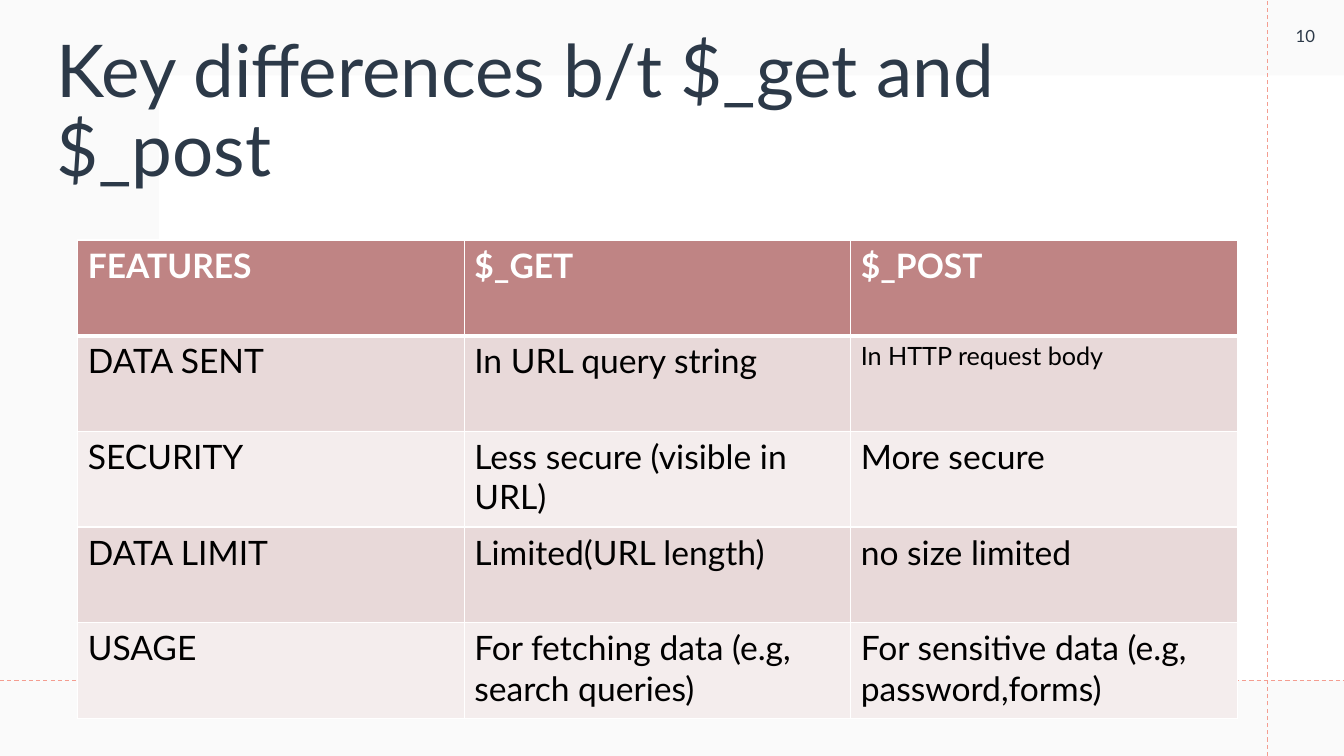
from lxml import etree
from pptx import Presentation, util as u
from pptx.dml.color import RGBColor
from pptx.enum import dml, shapes, text
from pptx.oxml import ns

COLORS = {
    "white": "FFFFFF",
    "veil": "F4F4F4",
    "guide": "F49D90",
    "ink": "2C3948",
    "black": "000000",
    "header": "BF8484",
    "odd": "E8D9D9",
    "even": "F4EDED",
}
WIDTH, HEIGHT = 33.87, 19.05
ROWS = [
    ("FEATURES", "$_GET", "$_POST"),
    ("DATA SENT", "In URL query string", "In HTTP request body"),
    ("SECURITY", "Less secure (visible in URL)", "More secure"),
    ("DATA LIMIT", "Limited(URL length)", "no size limited"),
    ("USAGE", "For fetching data (e.g, search queries)",
     "For sensitive data (e.g, password,forms)"),
]
SMALL_CELL = (1, 2)


class SlideBuilder:
    font = "Lato"

    def __init__(self, slide):
        self.slide = slide

    def color(self, name):
        return RGBColor.from_string(COLORS[name])

    def style(self, paragraph, size, color, bold=False):
        paragraph.font.name = self.font
        paragraph.font.size = u.Pt(size)
        paragraph.font.bold = bold
        paragraph.font.color.rgb = self.color(color)

    def panel(self, left, top, width, height, color, opacity=100):
        panel = self.slide.shapes.add_shape(
            shapes.MSO_SHAPE.RECTANGLE, *map(u.Cm, (left, top, width, height)))
        panel.shadow.inherit = False
        panel.line.fill.background()
        panel.fill.solid()
        panel.fill.fore_color.rgb = self.color(color)
        if opacity < 100:
            tint = panel.fill._xPr.find(".//" + ns.qn("a:srgbClr"))
            etree.SubElement(tint, ns.qn("a:alpha"), val=str(opacity * 1000))

    def guide(self, x1, y1, x2, y2):
        guide = self.slide.shapes.add_connector(
            shapes.MSO_CONNECTOR.STRAIGHT, *map(u.Cm, (x1, y1, x2, y2)))
        guide.line.color.rgb = self.color("guide")
        guide.line.width = u.Pt(0.75)
        guide.line.dash_style = dml.MSO_LINE.DASH
        etree.SubElement(guide._element.spPr, ns.qn("a:effectLst"))

    def label(self, words, left, top, width, height, size,
              align=text.PP_ALIGN.LEFT, spacing=1.0):
        frame = self.slide.shapes.add_textbox(
            *map(u.Cm, (left, top, width, height))).text_frame
        frame.word_wrap = True
        frame.vertical_anchor = text.MSO_ANCHOR.MIDDLE
        paragraph = frame.paragraphs[0]
        paragraph.text = words
        paragraph.alignment = align
        paragraph.line_spacing = spacing
        self.style(paragraph, size, "ink")

    def borders(self, cell, top, bottom):
        properties = cell._tc.get_or_add_tcPr()
        widths = {"lnL": 1, "lnR": 1, "lnT": top, "lnB": bottom}
        for position, (side, width) in enumerate(widths.items()):
            edge = etree.Element(ns.qn("a:" + side), w=str(u.Pt(width)))
            fill = etree.SubElement(edge, ns.qn("a:solidFill"))
            etree.SubElement(fill, ns.qn("a:srgbClr"), val=COLORS["white"])
            properties.insert(position, edge)

    def table(self, rows, left, top, column_width, row_height):
        columns = len(rows[0])
        table = self.slide.shapes.add_table(
            len(rows), columns, u.Cm(left), u.Cm(top),
            u.Cm(column_width * columns), u.Cm(row_height * len(rows))).table
        for r, row in enumerate(rows):
            header = r == 0
            fill = "header" if header else "odd" if r % 2 else "even"
            for c, words in enumerate(row):
                cell = table.cell(r, c)
                cell.text = words
                cell.fill.solid()
                cell.fill.fore_color.rgb = self.color(fill)
                self.borders(cell, 3 if r == 1 else 1, 3 if header else 1)
                self.style(cell.text_frame.paragraphs[0],
                           18 if (r, c) == SMALL_CELL else 24,
                           "white" if header else "black", header)


def main():
    deck = Presentation()
    deck.slide_width, deck.slide_height = u.Cm(WIDTH), u.Cm(HEIGHT)
    page = SlideBuilder(deck.slides.add_slide(deck.slide_layouts[6]))
    page.panel(0, 0, WIDTH, HEIGHT, "veil", 45)
    page.panel(4.01, 1.9, WIDTH - 4.01, 15.24, "white")
    page.guide(31.93, HEIGHT, 31.93, 0)
    page.guide(0, 17.15, WIDTH, 17.15)
    page.label("Key differences b/t $_get and $_post",
               1.17, 1.02, 29.21, 3.68, 52, spacing=0.9)
    page.table(ROWS, 1.96, 6.05, 9.74, 2.41)
    page.label("10", 31.95, -0.05, 1.9, 1.9, 12, text.PP_ALIGN.CENTER)
    deck.save("out.pptx")


if __name__ == "__main__":
    main()
